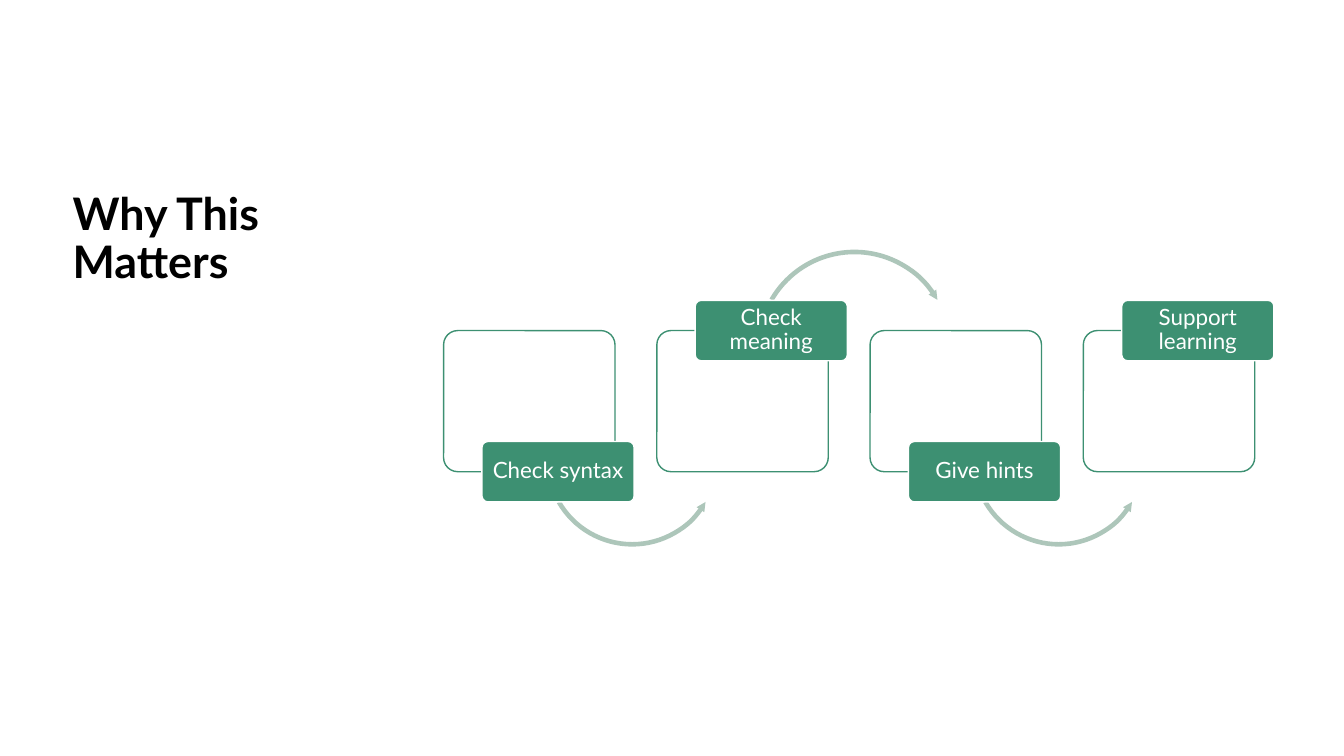
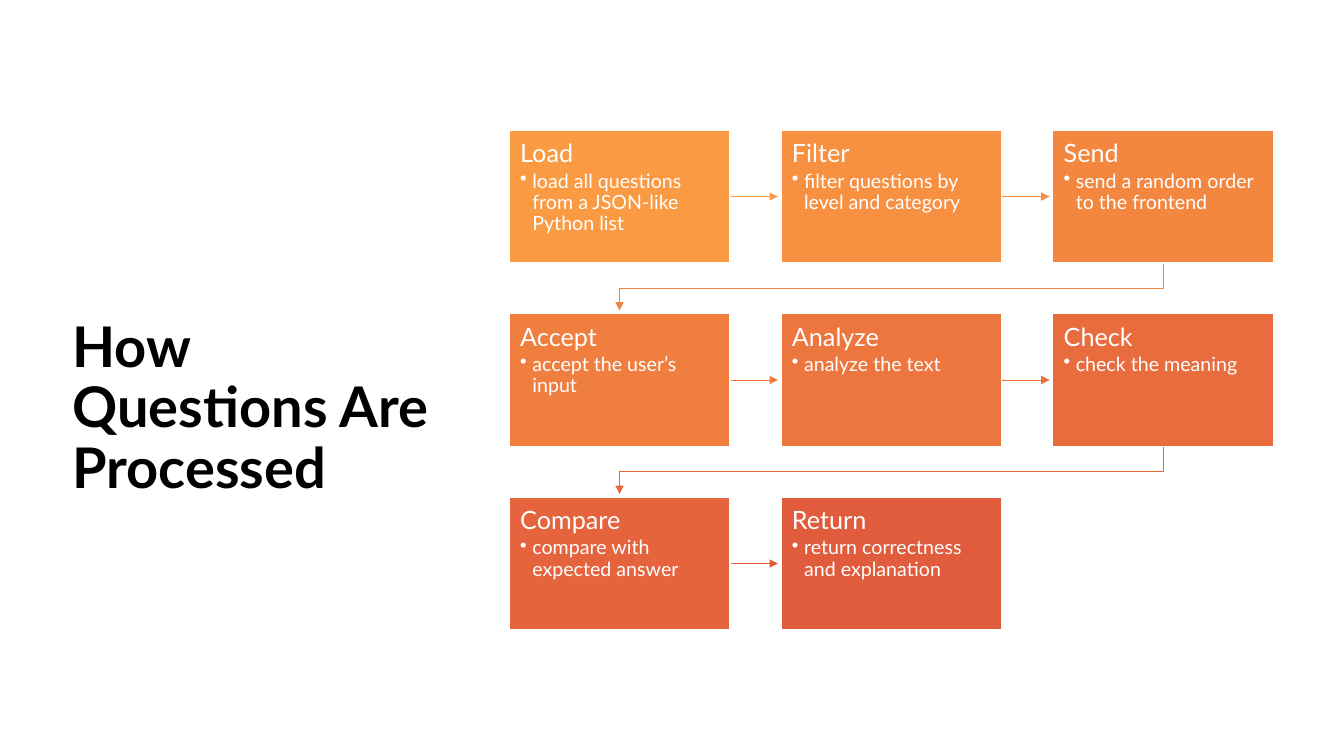
from dataclasses import dataclass

from lxml.etree import SubElement
from pptx import Presentation
from pptx.dml.color import RGBColor
from pptx.enum.shapes import MSO_CONNECTOR, MSO_SHAPE
from pptx.enum.text import MSO_ANCHOR, MSO_AUTO_SIZE, PP_ALIGN
from pptx.oxml.ns import qn
from pptx.util import Inches, Pt

ROUNDED, RECTANGLE, ARC = MSO_SHAPE.ROUNDED_RECTANGLE, MSO_SHAPE.RECTANGLE, MSO_SHAPE.ARC
STRAIGHT = MSO_CONNECTOR.STRAIGHT
TOP, MIDDLE = MSO_ANCHOR.TOP, MSO_ANCHOR.MIDDLE
LEFT, CENTER = PP_ALIGN.LEFT, PP_ALIGN.CENTER
FIXED = MSO_AUTO_SIZE.NONE


@dataclass(frozen=True)
class Theme:
    font: str = "Lato"
    ink: str = "000000"
    paper: str = "FFFFFF"
    green: str = "3D9072"
    sage: str = "ADC6BA"
    label: int = 16
    heading: int = 18
    detail: int = 14
    leading: float = 0.9
    outline: float = 1
    arrow: float = 0.5
    curve: float = 3.3


theme = Theme()


def set_text(box, lines, color, anchor, align, inset, bold=False):
    frame = box.text_frame
    frame.word_wrap = True
    frame.auto_size = FIXED
    frame.vertical_anchor = anchor
    frame.margin_left = frame.margin_right = Inches(inset)
    frame.margin_top = frame.margin_bottom = Inches(inset)
    for number, (text, size) in enumerate(lines):
        para = frame.add_paragraph() if number else frame.paragraphs[0]
        para.text = text
        para.alignment = align
        para.line_spacing = theme.leading
        if number:
            para.space_before = Pt(2)
            properties = para._p.get_or_add_pPr()
            properties.set("marL", str(Inches(0.12)))
            properties.set("indent", str(-Inches(0.12)))
            SubElement(properties, qn("a:buChar"), char="•")
        para.font.name = theme.font
        para.font.size = Pt(size)
        para.font.bold = bold
        para.font.color.rgb = RGBColor.from_string(color)


def set_look(shape, line, width, fill=None, arrow_end=None, arrow_size="med"):
    shape.line.color.rgb = RGBColor.from_string(line)
    shape.line.width = Pt(width)
    if fill:
        shape.fill.solid()
        shape.fill.fore_color.rgb = RGBColor.from_string(fill)
    properties = shape.element.spPr
    if arrow_end:
        SubElement(properties.find(qn("a:ln")), qn(arrow_end),
                   type="triangle", w=arrow_size, len=arrow_size)
    SubElement(properties, qn("a:effectLst"))


deck = Presentation()
deck.slide_width, deck.slide_height = Inches(13.33), Inches(7.5)
title_only = deck.slide_layouts[5]

pages = []
for text, size, anchor, top, width, height in [
    ("Why This Matters", 32, TOP, 1.85, 3.18, 4.74),
    ("How Questions Are Processed", 40, MIDDLE, 1.2, 3.82, 5.73),
]:
    page = deck.slides.add_slide(title_only)
    title = page.shapes.title
    title.left, title.top = Inches(0.67), Inches(top)
    title.width, title.height = Inches(width), Inches(height)
    set_text(title, [(text, size)], theme.ink, anchor, LEFT, 0.05, bold=True)
    pages.append(page)
reasons_page, process_page = pages

frame_left, frame_top, frame_width, frame_height = 4.4, 3.28, 1.7, 1.4
frame_pitch = 2.115
label_width, label_height, label_shift = 1.51, 0.6, 0.38
low_curve = (1.87, 4.56, 0.84, 30, 150, "a:headEnd")
high_curve = (1.96, 3.45, 0.95, 210, 330, "a:tailEnd")

reasons = ["Check syntax", "Check meaning", "Give hints", "Support learning"]
for column, reason in enumerate(reasons):
    left = frame_left + column * frame_pitch
    is_high = column % 2 == 1
    frame = reasons_page.shapes.add_shape(
        ROUNDED, Inches(left), Inches(frame_top), Inches(frame_width), Inches(frame_height))
    frame.adjustments[0] = 0.1
    set_look(frame, theme.green, theme.outline, theme.paper)

    if column < len(reasons) - 1:
        shift, middle, radius, start, stop, arrow_end = high_curve if is_high else low_curve
        curve = reasons_page.shapes.add_shape(
            ARC, Inches(left + shift - radius), Inches(middle - radius),
            Inches(2 * radius), Inches(2 * radius))
        curve.adjustments[0], curve.adjustments[1] = start * 0.6, stop * 0.6
        curve.fill.background()
        set_look(curve, theme.sage, theme.curve, arrow_end=arrow_end, arrow_size="sm")

    edge = frame_top if is_high else frame_top + frame_height
    label = reasons_page.shapes.add_shape(
        ROUNDED, Inches(left + label_shift), Inches(edge - label_height / 2),
        Inches(label_width), Inches(label_height))
    label.adjustments[0] = 0.1
    set_look(label, theme.paper, theme.outline, theme.green)
    set_text(label, [(reason, theme.label)], theme.paper, MIDDLE, CENTER, 0.05)

grid_left, grid_top, grid_columns = 5.05, 1.29, 3
card_width, card_height = 2.19, 1.32
column_pitch, row_pitch = 2.695, 1.82
arrow_gap = 0.03

steps = [
    ("Load", "load all questions from a JSON-like Python list", "FA9A42", "FA9A42"),
    ("Filter", "filter questions by level and category", "F79041", "F68F41"),
    ("Send", "send a random order to the frontend", "F48740", "F28440"),
    ("Accept", "accept the user’s input", "F07E3F", "EE793F"),
    ("Analyze", "analyze the text", "ED753E", "EA6F3E"),
    ("Check", "check the meaning", "E96C3E", "E6653D"),
    ("Compare", "compare with expected answer", "E5643D", "E15C3D"),
    ("Return", "return correctness and explanation", "E15C3D", None),
]
for number, (heading, detail, fill, arrow_color) in enumerate(steps):
    row, column = divmod(number, grid_columns)
    left = grid_left + column * column_pitch
    top = grid_top + row * row_pitch

    if arrow_color:
        if column < grid_columns - 1:
            middle = Inches(top + card_height / 2)
            arrow = process_page.shapes.add_connector(
                STRAIGHT, Inches(left + card_width), middle,
                Inches(left + column_pitch - arrow_gap), middle)
        else:
            start_x = Inches(left + card_width / 2)
            end_x = Inches(grid_left + card_width / 2)
            turn_y = Inches(top + (card_height + row_pitch) / 2)
            outline = process_page.shapes.build_freeform(start_x, Inches(top + card_height))
            outline.add_line_segments(
                [(start_x, turn_y), (end_x, turn_y),
                 (end_x, Inches(top + row_pitch - arrow_gap))], close=False)
            arrow = outline.convert_to_shape()
            arrow.fill.background()
        set_look(arrow, arrow_color, theme.arrow, arrow_end="a:tailEnd")

    card = process_page.shapes.add_shape(
        RECTANGLE, Inches(left), Inches(top), Inches(card_width), Inches(card_height))
    set_look(card, theme.paper, theme.outline, fill)
    set_text(card, [(heading, theme.heading), (detail, theme.detail)],
             theme.paper, TOP, LEFT, 0.11)

deck.save("out.pptx")
